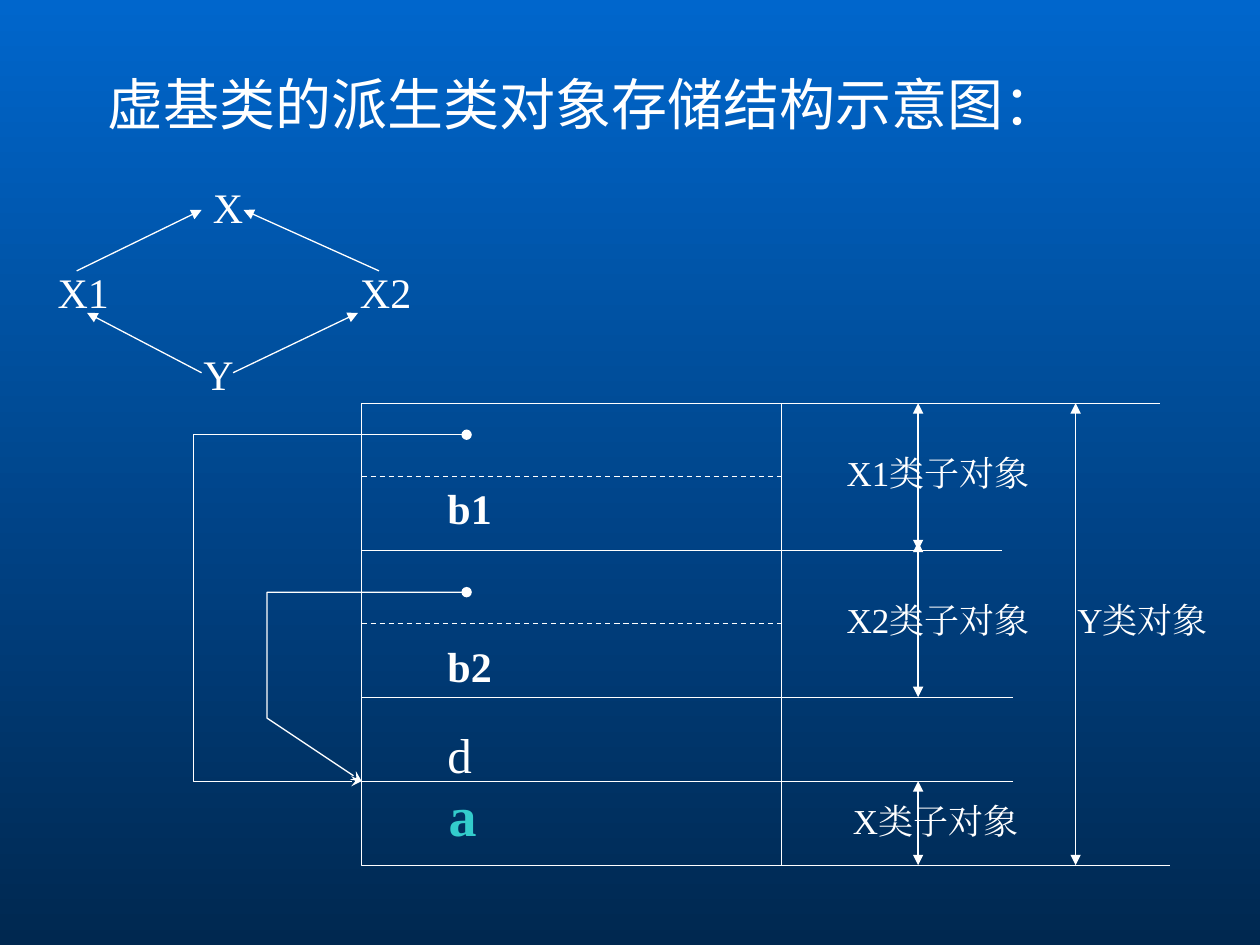
from dataclasses import dataclass

from lxml.etree import SubElement
from pptx import Presentation
from pptx.dml.color import RGBColor
from pptx.enum.dml import MSO_LINE
from pptx.enum.shapes import MSO_CONNECTOR
from pptx.enum.text import MSO_ANCHOR, MSO_AUTO_SIZE, PP_ALIGN
from pptx.oxml.ns import qn
from pptx.util import Inches, Pt

COLORS = {"white": "FFFFFF", "accent": "33CCCC", "top": "0066CC", "bottom": "002850"}
SERIF = "Times New Roman"
SANS = "DejaVu Sans"
CELL = 1 / 12


@dataclass(frozen=True)
class Grid:
    left: float
    top: float

    def x(self, column: float) -> int:
        return Inches(self.left + column * CELL)

    def y(self, row: float) -> int:
        return Inches(self.top + row * CELL)


@dataclass(frozen=True)
class Label:
    text: str
    column: float
    row: float
    columns: float
    rows: float
    size: int = 24
    bold: bool = False
    color: str = "white"
    wrap: bool = True


@dataclass(frozen=True)
class Segment:
    start: tuple[float, float]
    end: tuple[float, float]
    head: str = ""
    tail: str = ""
    dashed: bool = False


@dataclass(frozen=True)
class Outline:
    points: tuple[tuple[float, float], ...]
    head: str = ""
    tail: str = ""


HIERARCHY = Grid(0, 0)
STORAGE = Grid(2.87, 3.2)
DIVIDER, PART_SPAN, WHOLE_SPAN = 40, 53, 68
BOTTOM = 44

CLASS_LABELS = [
    Label("X", 19.1, 16.7, 5.3, 6, wrap=False),
    Label("X1", 4.3, 24.8, 7.3, 6, wrap=False),
    Label("X2", 33.1, 24.8, 7.3, 6, wrap=False),
    Label("Y", 18.2, 32.6, 5.3, 6),
]
INHERITANCE = [
    Segment((22.2, 35.5), (34.1, 29.8), tail="triangle"),
    Segment((19.2, 35.5), (8.3, 29.8), tail="triangle"),
    Segment((7.3, 25.8), (19.2, 20), tail="triangle"),
    Segment((36.1, 25.8), (23.2, 20), tail="triangle"),
]
RULES = [
    Segment((DIVIDER, 0), (DIVIDER, BOTTOM)),
    Segment((0, 7), (DIVIDER, 7), dashed=True),
    Segment((0, 14), (61, 14)),
    Segment((0, 21), (DIVIDER, 21), dashed=True),
    Segment((0, 28), (62, 28)),
    Segment((0, 36), (62, 36)),
]
SPANS = [
    Segment((column, start), (column, end), head="triangle", tail="triangle")
    for column, start, end in [
        (PART_SPAN, 0, 14),
        (PART_SPAN, 13.2, 28),
        (PART_SPAN, 36, BOTTOM),
        (WHOLE_SPAN, 0, BOTTOM),
    ]
]
STORAGE_LABELS = [
    Label("b1", 7, 7, 7, 6, bold=True),
    Label("b2", 7, 22, 7, 6, bold=True),
    Label("d", 7, 30, 4, 6.8, size=28),
    Label("a", 7.1, 35.3, 5, 7.7, size=32, bold=True, color="accent", wrap=False),
    Label("X1类子对象", 45, 4, 22, 5.3, size=20),
    Label("X2类子对象", 45, 18, 20, 9.2, size=20),
    Label("Y类对象", 67, 18, 15, 9.2, size=20),
    Label("X类子对象", 45.6, 37.2, 19, 5.3, size=20, wrap=False),
]
FRAME = Outline(((76, 0), (0, 0), (0, BOTTOM), (77, BOTTOM)))
POINTERS = [
    Outline(((10, 3), (-16, 3), (-16, 36), (0, 36)), head="oval", tail="stealth"),
    Outline(((10, 18), (-9, 18), (-9, 30), (0, 36)), head="oval", tail="stealth"),
]


def rgb(name: str) -> RGBColor:
    return RGBColor.from_string(COLORS[name])


def write_text(shape, text: str, *, size: int, font: str = SERIF, bold: bool = False,
               color: str = "white", wrap: bool = True) -> None:
    frame = shape.text_frame
    frame.word_wrap = wrap
    frame.auto_size = MSO_AUTO_SIZE.NONE
    frame.vertical_anchor = MSO_ANCHOR.TOP
    paragraph = frame.paragraphs[0]
    paragraph.alignment = PP_ALIGN.LEFT
    run = paragraph.add_run()
    run.text = text
    run.font.size = Pt(size)
    run.font.bold = bold
    run.font.name = font
    run.font.color.rgb = rgb(color)
    SubElement(run.font._element, qn("a:ea")).set("typeface", font)


def format_line(shape, head: str, tail: str) -> None:
    shape.line.color.rgb = rgb("white")
    shape.line.width = Pt(0.75)
    line = shape.line._get_or_add_ln()
    for tag, kind in (("a:headEnd", head), ("a:tailEnd", tail)):
        if kind:
            SubElement(line, qn(tag)).set("type", kind)


def draw_label(slide, grid: Grid, label: Label) -> None:
    box = slide.shapes.add_textbox(grid.x(label.column), grid.y(label.row),
                                   Inches(label.columns * CELL), Inches(label.rows * CELL))
    write_text(box, label.text, size=label.size, bold=label.bold,
               color=label.color, wrap=label.wrap)


def draw_segment(slide, grid: Grid, segment: Segment) -> None:
    connector = slide.shapes.add_connector(
        MSO_CONNECTOR.STRAIGHT,
        grid.x(segment.start[0]), grid.y(segment.start[1]),
        grid.x(segment.end[0]), grid.y(segment.end[1]))
    if segment.dashed:
        connector.line.dash_style = MSO_LINE.DASH
    format_line(connector, segment.head, segment.tail)
    SubElement(connector._element.spPr, qn("a:effectLst"))


def draw_outline(slide, grid: Grid, outline: Outline) -> None:
    points = [(grid.x(column), grid.y(row)) for column, row in outline.points]
    builder = slide.shapes.build_freeform(*points[0])
    builder.add_line_segments(points[1:], close=False)
    shape = builder.convert_to_shape()
    shape.fill.background()
    format_line(shape, outline.head, outline.tail)
    shape.shadow.inherit = False


def paint_background(slide) -> None:
    fill = slide.background.fill
    fill.gradient()
    fill.gradient_angle = 270
    for stop, position, name in zip(fill.gradient_stops, (0, 1), ("top", "bottom")):
        stop.position = position
        stop.color.rgb = rgb(name)


def main() -> None:
    presentation = Presentation()
    presentation.slide_width = Inches(10)
    presentation.slide_height = Inches(7.5)
    slide = presentation.slides.add_slide(presentation.slide_layouts[5])
    paint_background(slide)

    title = slide.shapes.title
    title.left, title.top = Inches(0.75), Inches(0.5)
    title.width, title.height = Inches(8.5), Inches(0.83)
    write_text(title, "虚基类的派生类对象存储结构示意图：", size=32, font=SANS)

    for label in CLASS_LABELS:
        draw_label(slide, HIERARCHY, label)
    for segment in INHERITANCE:
        draw_segment(slide, HIERARCHY, segment)
    draw_outline(slide, STORAGE, FRAME)
    for segment in RULES + SPANS:
        draw_segment(slide, STORAGE, segment)
    for label in STORAGE_LABELS:
        draw_label(slide, STORAGE, label)
    for pointer in POINTERS:
        draw_outline(slide, STORAGE, pointer)

    presentation.save("out.pptx")


if __name__ == "__main__":
    main()
